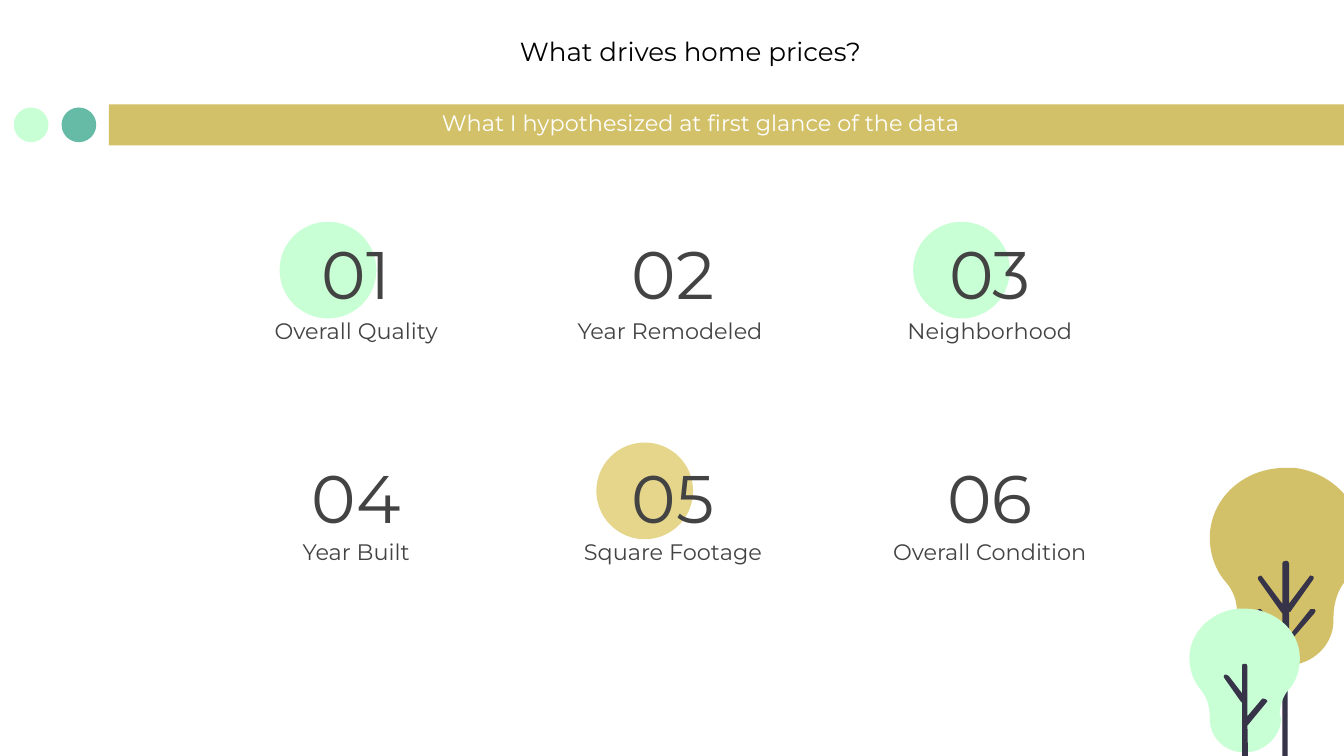
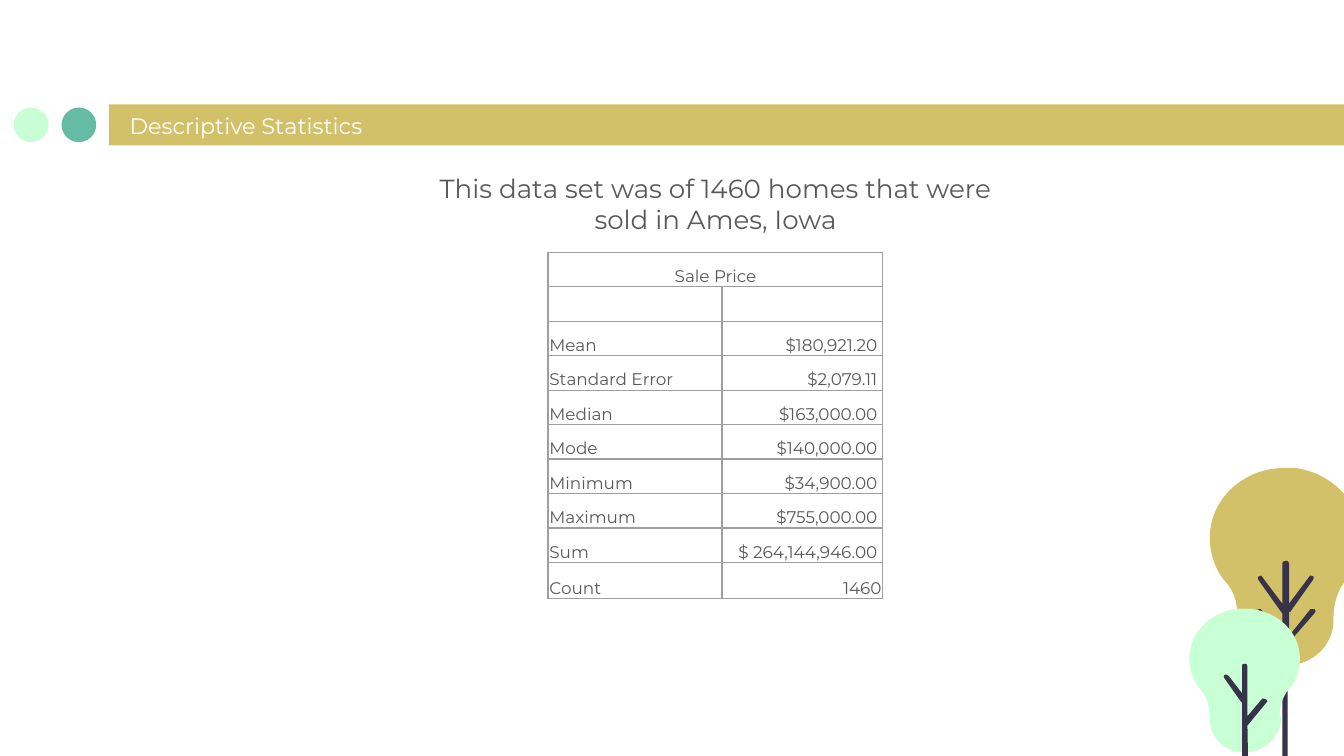
import collections
import dataclasses

import lxml.etree
import pptx
import pptx.dml.color
import pptx.enum.shapes
import pptx.enum.text
import pptx.oxml.ns
import pptx.util

Pt = pptx.util.Pt
qn = pptx.oxml.ns.qn
Kind = pptx.enum.shapes.MSO_SHAPE
Align = pptx.enum.text.PP_ALIGN
Anchor = pptx.enum.text.MSO_ANCHOR
Box = collections.namedtuple("Box", "left top width height")


@dataclasses.dataclass(frozen=True)
class Theme:
    font: str = "Montserrat"
    gold: str = "D3C169"
    sand: str = "E6D68C"
    mint: str = "C9FFD5"
    teal: str = "65BBA5"
    bark: str = "373449"
    white: str = "FFFFFF"
    black: str = "000000"
    dark: str = "434343"
    gray: str = "595959"
    rule: str = "9E9E9E"
    huge: float = 36
    lead: float = 14
    body: float = 12
    small: float = 9


LOOK = Theme()
PAGE = Box(0, 0, 720, 405)
BAND = Box(58.3, 55.9, 684, 22)
PAD = 7.2
UNIT = 0.72  # points in one step of a tree outline

# Tree outlines: pairs are line ends, sixes are curves
GOLD_CROWN = [
    (56, 0), (25, 0, 0, 23, 0, 52), (0, 64, 4, 76, 12, 85),
    (18, 92, 21, 101, 20, 110), (20, 111, 20, 113, 20, 115),
    (20, 133, 37, 147, 56, 147), (56, 147, 57, 147, 57, 147),
    (76, 147, 92, 132, 92, 114), (92, 112), (92, 101, 95, 91, 101, 84),
    (110, 73, 114, 59, 112, 46), (109, 22, 88, 3, 63, 0),
    (60, 0, 58, 0, 56, 0)]
GOLD_TRUNK = [
    (57, 69), (55, 69, 54, 70, 54, 71), (54, 101), (39, 81),
    (39, 80, 38, 80, 38, 80), (36, 80, 35, 82, 36, 83), (53, 107),
    (53, 107, 54, 107, 54, 108), (54, 125), (38, 105),
    (38, 105, 37, 105, 37, 105), (35, 105, 34, 106, 35, 108), (54, 131),
    (54, 236), (54, 237, 55, 238, 57, 238), (58, 238, 58, 237, 58, 236),
    (58, 131), (78, 108), (79, 107, 79, 106, 78, 105),
    (77, 105, 77, 105, 76, 105), (76, 105, 75, 105, 75, 105), (59, 125),
    (59, 107), (59, 107, 59, 107, 60, 107), (77, 83),
    (78, 81, 77, 80, 75, 80), (75, 80, 74, 80, 74, 81), (59, 101),
    (59, 71), (59, 70, 58, 69, 57, 69)]
MINT_CROWN = [
    (42, 0), (40, 0, 39, 0, 37, 0), (18, 2, 3, 16, 1, 33),
    (0, 43, 3, 53, 9, 60), (14, 66, 16, 73, 16, 81), (16, 82),
    (16, 96, 27, 107, 42, 107), (42, 107, 42, 107, 42, 107),
    (56, 107, 68, 96, 69, 83), (69, 82, 69, 80, 68, 79),
    (68, 73, 70, 66, 74, 61), (80, 55, 83, 46, 83, 37),
    (83, 16, 64, 0, 42, 0)]
MINT_TRUNK = [
    (42, 41), (41, 41, 39, 41, 40, 43), (40, 63), (30, 50),
    (29, 49, 29, 49, 28, 49), (28, 49, 27, 49, 27, 49),
    (26, 50, 26, 51, 27, 52), (39, 69), (39, 70, 40, 70, 40, 70),
    (40, 140), (40, 141, 41, 142, 42, 142), (43, 142, 44, 141, 45, 140),
    (44, 87), (58, 70), (60, 69, 58, 67, 56, 67), (56, 67, 55, 67, 55, 67),
    (44, 80), (44, 43), (44, 41, 43, 41, 42, 41)]

DRIVERS = [
    ("Overall Quality", LOOK.mint), ("Year Remodeled ", None),
    ("Neighborhood", LOOK.mint), ("Year Built", None),
    ("Square Footage", LOOK.sand), ("Overall Condition", None)]
STATS = [
    ("Sale Price", ""), ("", ""), ("Mean", " $180,921.20 "),
    ("Standard Error", " $2,079.11 "), ("Median", " $163,000.00 "),
    ("Mode", " $140,000.00 "), ("Minimum", " $34,900.00 "),
    ("Maximum", " $755,000.00 "), ("Sum", " $ 264,144,946.00 "),
    ("Count", "1460")]


# Shared helpers
def rgb(code):
    return pptx.dml.color.RGBColor.from_string(code)


def put(item, **values):
    for name, value in values.items():
        setattr(item, name, value)


def place(box):
    return [Pt(side) for side in box]


def paint(shape, color):
    shape.shadow.inherit = False
    shape.fill.solid()
    shape.fill.fore_color.rgb = rgb(color)
    shape.line.fill.background()
    return shape


def write(frame, text, size, color, align=Align.CENTER):
    frame.text = text
    for para in frame.paragraphs:
        para.alignment = align
        for run in para.runs:
            put(run.font, name=LOOK.font, size=Pt(size), bold=False)
            run.font.color.rgb = rgb(color)


def fit(frame, anchor, pad=PAD, wrap=True):
    put(frame, word_wrap=wrap, vertical_anchor=anchor,
        auto_size=pptx.enum.text.MSO_AUTO_SIZE.NONE,
        margin_left=Pt(PAD), margin_right=Pt(PAD),
        margin_top=Pt(pad), margin_bottom=Pt(pad))
    return frame


def label(slide, box, text, size, color, anchor, align=Align.CENTER, **style):
    frame = slide.shapes.add_textbox(*place(box)).text_frame
    write(fit(frame, anchor, **style), text, size, color, align)


def disc(slide, left, top, size, color):
    box = Box(left, top, size, size)
    return paint(slide.shapes.add_shape(Kind.OVAL, *place(box)), color)


# Trees
def bend(form, path, left, top):
    """Give the curved parts of an outline their control points."""
    lines = list(form.element.iter(qn("a:lnTo")))
    for line, part in zip(lines, path[1:]):
        if len(part) == 2:
            continue
        curve = lxml.etree.Element(qn("a:cubicBezTo"))
        for x, y in zip(part[::2], part[1::2]):
            lxml.etree.SubElement(
                curve, qn("a:pt"),
                x=str(Pt(left + x * UNIT) - form.left),
                y=str(Pt(top + y * UNIT) - form.top))
        line.getparent().replace(line, curve)


def tree(slide, left, top, crown, trunk, color):
    group = slide.shapes.add_group_shape()
    for path, fill in ((crown, color), (trunk, LOOK.bark)):
        ends = [(Pt(left + part[-2] * UNIT), Pt(top + part[-1] * UNIT))
                for part in path]
        form = group.shapes.build_freeform(*ends[0], scale=1.0)
        form.add_line_segments(ends[1:], close=True)
        shape = paint(form.convert_to_shape(), fill)
        bend(shape, path, left, top)


def grove(slide, box):
    right, base = box.left + box.width, box.top + box.height
    tree(slide, right - 71.9, base - 154.3, GOLD_CROWN, GOLD_TRUNK, LOOK.gold)
    tree(slide, right - 83.4, base - 78.9, MINT_CROWN, MINT_TRUNK, LOOK.mint)


# Band with dots, kept on the shared layout
def banner(slide, box):
    band = slide.shapes.add_shape(Kind.RECTANGLE, *place(box))
    parts = [paint(band, LOOK.gold)]
    for gap, color in ((25.3, LOOK.teal), (50.9, LOOK.mint)):
        parts.append(disc(slide, box.left - gap, box.top + 1.7, 18.6, color))
    base = slide.slide_layout.placeholders[0].element
    for part in parts:
        base.addprevious(part.element)


def header(slide, box, text, align):
    title = slide.shapes.title
    put(title, **dict(zip(Box._fields, place(box))))
    write(fit(title.text_frame, Anchor.BOTTOM), text, LOOK.body,
          LOOK.white, align)


# One numbered driver
def driver(slide, box, number, text, color, drop):
    if color:
        disc(slide, box.left + 50.4, box.top, 51.8, color)
    spot = Box(box.left + 22.4, box.top + drop, 138.2, 45.4)
    label(slide, spot, f"{number:02}", LOOK.huge, LOOK.dark, Anchor.MIDDLE)
    spot = Box(box.left, box.top + 27.4, box.width, 45.4)
    label(slide, spot, text, LOOK.body, LOOK.dark, Anchor.BOTTOM)


def drivers(slide, box):
    wide, high = 183, 73
    across = (box.width - wide) / 2
    down = box.height - high
    for spot, (text, color) in enumerate(DRIVERS):
        row, col = divmod(spot, 3)
        cell = Box(box.left + col * across, box.top + row * down, wide, high)
        driver(slide, cell, spot + 1, text, color, 4.4 + 1.8 * row)


# Table of statistics
def edge(cell):
    props = cell._tc.get_or_add_tcPr()
    for side in ("a:lnL", "a:lnR", "a:lnT", "a:lnB"):
        line = lxml.etree.SubElement(props, qn(side), w=str(Pt(0.75)))
        fill = lxml.etree.SubElement(line, qn("a:solidFill"))
        lxml.etree.SubElement(fill, qn("a:srgbClr"), val=LOOK.rule)


def stats(slide, box):
    grid = slide.shapes.add_table(len(STATS), 2, *place(box)).table
    put(grid, first_row=False, horz_banding=False)
    for col, width in zip(grid.columns, (93.2, box.width - 93.2)):
        col.width = Pt(width)
    tall = 18.48
    last = box.height - tall * (len(STATS) - 1)
    for spot, texts in enumerate(STATS):
        grid.rows[spot].height = Pt(last if spot == len(STATS) - 1 else tall)
        for col, text in enumerate(texts):
            cell = grid.cell(spot, col)
            edge(cell)
            cell.fill.background()
            put(cell, vertical_anchor=Anchor.BOTTOM, margin_left=Pt(UNIT),
                margin_right=Pt(UNIT), margin_top=Pt(UNIT), margin_bottom=0)
            align = Align.RIGHT if col else Align.LEFT
            if spot == 0:
                align = Align.CENTER
            if text:
                write(cell.text_frame, text, LOOK.small, LOOK.gray, align)
            else:  # keeps empty rows low
                lxml.etree.SubElement(cell.text_frame.paragraphs[0]._p,
                                      qn("a:endParaRPr"),
                                      sz=str(int(LOOK.small * 100)))
    grid.cell(0, 0).merge(grid.cell(0, 1))


# Slides
def causes(slide, box):
    header(slide, Box(178.1, 55.4, 394.6, 24.5),
           "What I hypothesized at first glance of the data", Align.CENTER)
    drivers(slide, Box(box.left + 99.4, box.top + 118.8, 522.4, 191.3))
    grove(slide, box)
    label(slide, Box(271.4, 15.5, 208.8, 24.5), "What drives home prices?",
          LOOK.lead, LOOK.black, Anchor.TOP, Align.LEFT, pad=3.6, wrap=False)


def facts(slide, box):
    header(slide, Box(62.3, 57.2, 394.6, 24.5), "Descriptive Statistics",
           Align.LEFT)
    grove(slide, box)
    stats(slide, Box(box.left + 293.6, box.top + 135.2, 179.4, 185.6))
    label(slide, Box(62.3, 88.8, 642.2, 41),
          "This data set was of 1460 homes that were\nsold in Ames, Iowa",
          LOOK.lead, LOOK.gray, Anchor.TOP, pad=3.6)


def main():
    deck = pptx.Presentation()
    put(deck, slide_width=Pt(PAGE.width), slide_height=Pt(PAGE.height))
    pages = [deck.slides.add_slide(deck.slide_layouts[5]) for _ in range(2)]
    banner(pages[0], BAND)
    for build, page in zip((causes, facts), pages):
        build(page, PAGE)
    deck.save("out.pptx")


if __name__ == "__main__":
    main()
